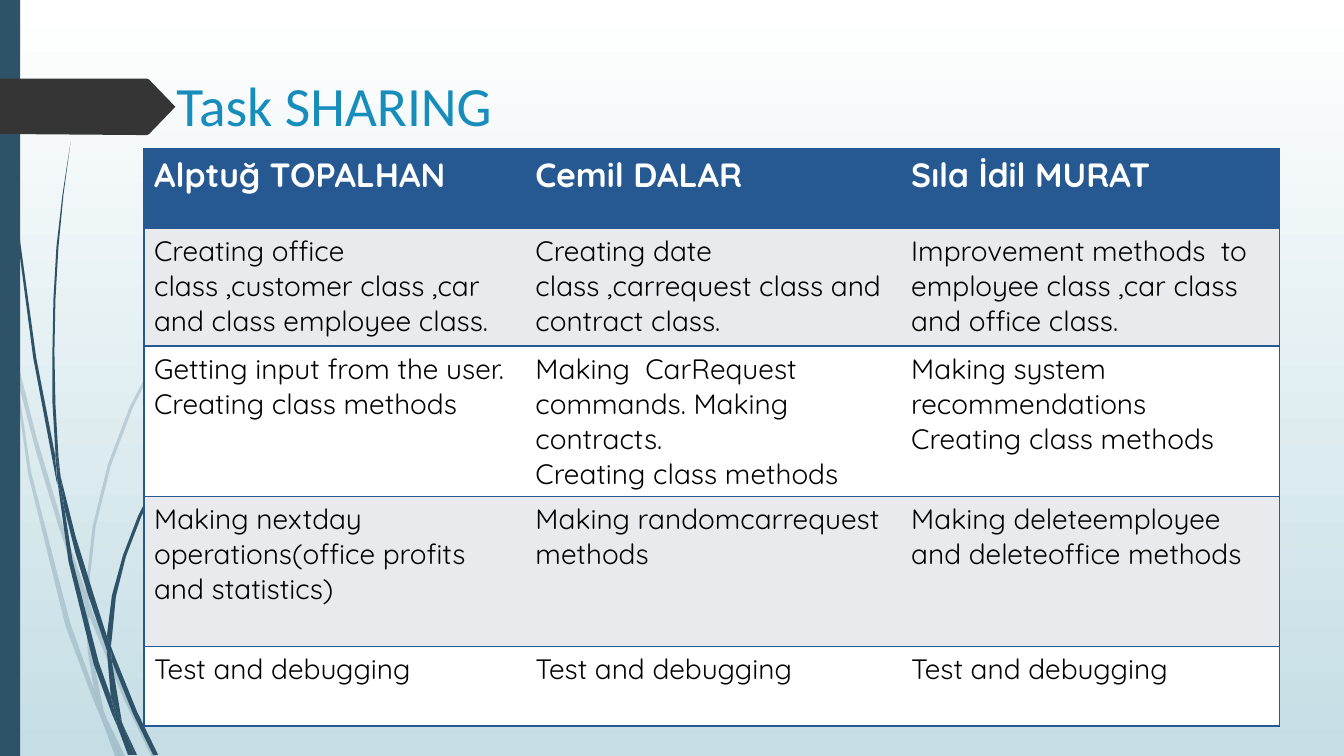
from dataclasses import dataclass

from lxml import etree
from pptx import Presentation
from pptx.dml.color import RGBColor
from pptx.enum.shapes import MSO_SHAPE
from pptx.enum.text import MSO_ANCHOR, MSO_AUTO_SIZE, PP_ALIGN
from pptx.oxml.ns import qn
from pptx.util import Cm, Pt

RECTANGLE = MSO_SHAPE.RECTANGLE
TOP = MSO_ANCHOR.TOP
LEFT = PP_ALIGN.LEFT
NO_AUTOFIT = MSO_AUTO_SIZE.NONE
TITLE_ONLY = 5
GRID = 2.54  # centimetres per unit of the outline points


@dataclass(frozen=True)
class Theme:
    sky: str = "FFFFFF"
    mist: str = "C5DEE5"
    stem: str = "2E5369"
    arrow: str = "353535"
    title: str = "178DBB"
    header: str = "265991"
    band: str = "E8EAEE"
    plain: str = "FFFFFF"
    ink: str = "000000"
    title_font: str = "Calibri"
    table_font: str = "Quicksand"
    title_size: float = 39.6
    header_size: float = 24
    body_size: float = 20
    border: float = 1
    pale_alpha: int = 20


@dataclass(frozen=True)
class Box:
    left: float
    top: float
    width: float
    height: float

    def lengths(self):
        return [Cm(n) for n in (self.left, self.top, self.width, self.height)]


THEME = Theme()
PAGE = Box(0, 0, 33.87, 19.05)
TITLE_BOX = Box(4.19, 1.66, 9.65, 2.08)
TABLE_BOX = Box(3.63, 3.75, 28.62, 14.52)
COLUMN_WIDTHS = (9.61, 9.47, 9.54)
ROW_HEIGHTS = (2, 2.97, 3.77, 3.78, 2)

TASKS = (
    ("Alptuğ TOPALHAN", "Cemil DALAR", "Sıla İdil MURAT"),
    ("Creating office class ,customer class ,car and class employee class.",
     "Creating date class ,carrequest class and contract class.",
     "Improvement methods  to employee class ,car class and office class."),
    ("Getting input from the user.\nCreating class methods",
     "Making  CarRequest commands. Making contracts.\nCreating class methods",
     "Making system recommendations\nCreating class methods"),
    ("Making nextday operations(office profits and statistics)",
     "Making randomcarrequest  methods",
     "Making deleteemployee and deleteoffice methods"),
    ("Test and debugging",) * 3,
)

# Outlines of the grass blades, as pairs of x and y
PALE_GRASS = (
    ".11 3.5 .09 3.22 0 2.82 0 2.99 .1 3.44",
    ".58 5.22 .84 5.99 .85 5.86 .62 5.2 .36 4.33 .14 3.45 .17 3.76 .36 4.49",
    ".92 6.07 .88 5.96 .88 6.1 1.23 6.94 1.5 7.5 1.55 7.5 1.27 6.92",
    "1.19 7.5 1.24 7.5 1.05 7.11",
    ".93 6.83 .7 6.19 .31 4.69 .17 3.76 .11 3.5 .28 4.7 .65 6.21 .92 6.93 1.01 7.14 .99 7.07",
    ".84 5.99 .87 6.46 .93 6.83 .96 6.92 1.05 7.11 1.03 7.06 .91 6.46 .88 6.1 .88 6.08",
    ".88 5.84 .95 5.22 1.1 4.62 1.32 4.04 1.6 3.49 1.92 2.96 2.29 2.45 2.68 1.98 2.9 1.75 3.12 1.54 3.12 1.53 "
    "2.89 1.75 2.68 1.97 2.28 2.44 1.9 2.95 1.58 3.48 1.29 4.03 1.07 4.61 .92 5.22 .85 5.84 .85 5.86 .88 5.96",
    "1.01 7.14 1.14 7.5 1.19 7.5",
    ".88 6.08 .88 6.1 .88 5.96 .85 5.86 .84 5.99",
    ".96 6.92 .93 6.83 .99 7.07 1.01 7.14 1.19 7.5 1.05 7.11",
)
DARK_GRASS = (
    ".07 1.1 .17 2.33 .33 3.55 .56 4.77 .57 4.81 .55 4.57 .55 4.53 .36 3.55 .19 2.32 .08 1.09 "
    ".05 .48 .04 0 .03 0 .04 .48",
    ".88 5.92 1.06 6.45 1.06 6.33 1.06 6.31 .93 5.9 .75 5.32 .6 4.72 .64 5.05 .75 5.49",
    "1.13 6.49 1.1 6.41 1.11 6.56 1.32 7.08 1.52 7.49 1.57 7.49 1.36 7.06",
    "1.1 6.91 .98 6.57 .72 5.56 .64 5.05 .57 4.77 .68 5.57 .93 6.59 1.11 7.08 1.17 7.22 1.16 7.17",
    ".6 4.72 .58 4.53 .55 4.01 .54 3.49 .55 2.97 .58 2.45 .63 1.93 .7 1.41 .62 1.93 .56 2.45 "
    ".53 2.97 .52 3.49 .52 3.99 .55 4.49",
    "1.33 7.49 1.36 7.49 1.22 7.19",
    ".57 4.77 .64 5.05 .6 4.72 .55 4.49 .55 4.53",
    "1.11 6.33 1.15 5.92 1.25 5.52 1.4 5.13 1.58 4.76 2.05 4.06 2.31 3.74 2.45 3.59 2.61 3.44 2.6 3.44 "
    "2.45 3.58 2.31 3.73 2.04 4.05 1.56 4.74 1.37 5.12 1.22 5.51 1.11 5.91 1.06 6.31 1.1 6.41",
    "1.17 7.22 1.27 7.49 1.31 7.49",
    "1.06 6.45 1.1 6.91 1.16 7.06 1.22 7.19 1.21 7.16 1.11 6.56 1.09 6.51",
    "1.06 6.45 1.09 6.51 1.11 6.56 1.1 6.41 1.06 6.31 1.06 6.33",
    "1.16 7.06 1.1 6.91 1.16 7.17 1.17 7.22 1.3 7.49 1.33 7.49 1.22 7.19",
)
ARROW = "1.74 1.06 1.48 1.33 1.46 1.34 1.36 1.34 0 1.33 0 .78 1.46 .78 1.48 .79"


def paint(shape, color, alpha=None):
    shape.shadow.inherit = False
    shape.fill.solid()
    shape.fill.fore_color.rgb = RGBColor.from_string(color)
    shape.line.fill.background()
    if alpha:
        tint = next(shape._element.spPr.iter(qn("a:srgbClr")))
        etree.SubElement(tint, qn("a:alpha"), val=str(alpha * 1000))


def add_outline(page, box, outline, color, alpha=None):
    numbers = [float(word) * GRID for word in outline.split()]
    points = [(Cm(box.left + x), Cm(box.top + y)) for x, y in zip(numbers[::2], numbers[1::2])]
    builder = page.shapes.build_freeform(*points[0])
    builder.add_line_segments(points[1:], close=True)
    paint(builder.convert_to_shape(), color, alpha)


def add_backdrop(page, box):
    # Gradient from top to bottom
    fill = page.background.fill
    fill.gradient()
    fill.gradient_angle = 270
    for stop, color, position in zip(fill.gradient_stops, (THEME.sky, THEME.mist), (0, 1)):
        stop.color.rgb = RGBColor.from_string(color)
        stop.position = position
    # Grass, side bar and arrow
    for outlines, alpha in ((PALE_GRASS, THEME.pale_alpha), (DARK_GRASS, None)):
        for outline in outlines:
            add_outline(page, box, outline, THEME.stem, alpha)
    bar = Box(box.left, box.top, 0.51, box.height)
    paint(page.shapes.add_shape(RECTANGLE, *bar.lengths()), THEME.stem)
    add_outline(page, box, ARROW, THEME.arrow)


def format_text(frame, color, **font_values):
    for para in frame.paragraphs:
        para.alignment = LEFT
        for span in para.runs:
            span.font.color.rgb = RGBColor.from_string(color)
            for name, value in font_values.items():
                setattr(span.font, name, value)


def add_title(page, box):
    title = page.shapes.title
    title.left, title.top, title.width, title.height = box.lengths()
    frame = title.text_frame
    frame.text = "Task SHARING"
    for name, value in {"vertical_anchor": TOP, "auto_size": NO_AUTOFIT, "word_wrap": True}.items():
        setattr(frame, name, value)
    format_text(frame, THEME.title, name=THEME.title_font, size=Pt(THEME.title_size))


def set_borders(cell, sides):
    properties = cell._tc.get_or_add_tcPr()
    for side in "LRTB":
        line = etree.SubElement(properties, qn("a:ln" + side), w=str(Pt(THEME.border)))
        if side in sides:
            etree.SubElement(etree.SubElement(line, qn("a:solidFill")), qn("a:srgbClr"), val=THEME.header)
        else:
            etree.SubElement(line, qn("a:noFill"))


def add_task_table(page, box):
    table = page.shapes.add_table(len(TASKS), len(COLUMN_WIDTHS), *box.lengths()).table
    for column, width in zip(table.columns, COLUMN_WIDTHS):
        column.width = Cm(width)
    outer_sides = ("L", "", "R")
    for index, (row, height, texts) in enumerate(zip(table.rows, ROW_HEIGHTS, TASKS)):
        row.height = Cm(height)
        header = index == 0
        back = THEME.header if header else (THEME.plain, THEME.band)[index % 2]
        ink = THEME.plain if header else THEME.ink
        size = THEME.header_size if header else THEME.body_size
        for cell, text, side in zip(row.cells, texts, outer_sides):
            set_borders(cell, side + "TB")
            cell.fill.solid()
            cell.fill.fore_color.rgb = RGBColor.from_string(back)
            cell.text_frame.text = text
            format_text(cell.text_frame, ink, name=THEME.table_font, size=Pt(size), bold=header)


def main():
    deck = Presentation()
    deck.slide_width, deck.slide_height = PAGE.lengths()[2:]
    page = deck.slides.add_slide(deck.slide_layouts[TITLE_ONLY])
    add_backdrop(page, PAGE)
    add_title(page, TITLE_BOX)
    add_task_table(page, TABLE_BOX)
    deck.save("out.pptx")


if __name__ == "__main__":
    main()
